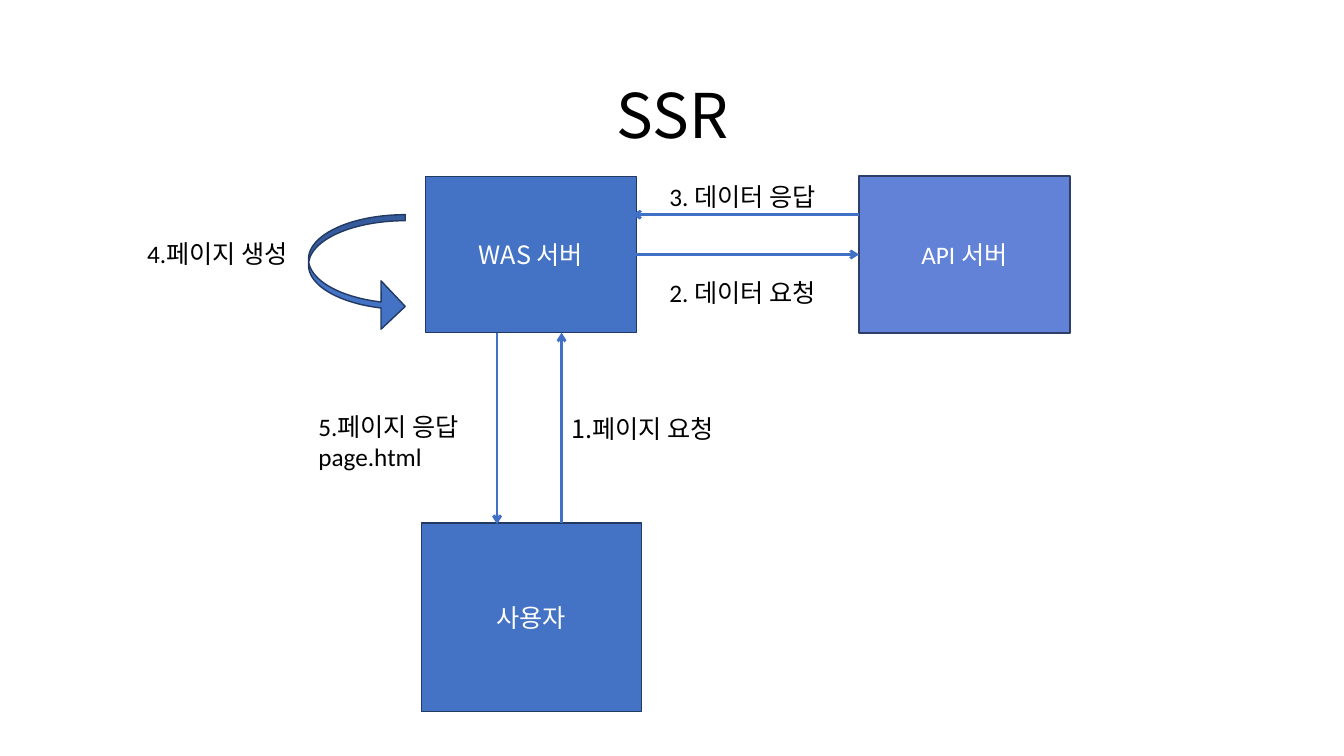
"""Build the SSR request flow slide."""
from pptx import Presentation
from pptx.dml.color import RGBColor
from pptx.enum.shapes import MSO_CONNECTOR, MSO_SHAPE
from pptx.enum.text import MSO_ANCHOR, MSO_AUTO_SIZE, PP_ALIGN
from pptx.oxml.ns import qn
from pptx.util import Inches, Pt
from lxml.etree import SubElement

KOREAN, LATIN = "Noto Sans CJK KR", "Calibri"
BLUE = RGBColor(0x44, 0x72, 0xC4)
PERIWINKLE = RGBColor(0x61, 0x82, 0xD6)
NAVY = RGBColor(0x22, 0x39, 0x61)
SLATE = RGBColor(0x2E, 0x3E, 0x67)
ARROW_BLUE = RGBColor(0x41, 0x71, 0xC7)
BLACK = RGBColor(0, 0, 0)
WHITE = RGBColor(0xFF, 0xFF, 0xFF)

TITLE = "SSR"
SERVERS = {
    "WAS 서버": ((4.22, 1.75, 2.09, 1.55), BLUE, NAVY, 1, KOREAN),
    "API 서버": ((8.52, 1.75, 2.09, 1.55), PERIWINKLE, SLATE, 1.5, LATIN),
    "사용자": ((4.18, 5.19, 2.18, 1.87), BLUE, NAVY, 1, KOREAN),
}
STEPS = [
    (["1.페이지 요청"], (5.57, 4.05, 1.71, 0.4), KOREAN),
    (["2. 데이터 요청"], (6.54, 2.7, 1.76, 0.4), LATIN),
    (["3. 데이터 응답"], (6.54, 1.75, 1.76, 0.4), LATIN),
    (["4.페이지 생성"], (1.36, 2.32, 1.71, 0.4), LATIN),
    (["5.페이지 응답", "page.html"], (3.06, 4.03, 1.7, 0.7), LATIN),
]
PAGE_REQUEST = (5.57, 5.19, 5.57, 3.3)
DATA_REQUEST = (6.31, 2.52, 8.52, 2.52)
DATA_RESPONSE = (8.52, 2.13, 6.27, 2.13)
PAGE_RESPONSE = (4.93, 3.3, 4.93, 5.2)
PAGE_BUILD = (3.06, 2.13, 0.96, 1.15)
PAGE_BUILD_BEND = (0.062, 0.5, 0.25)


def inches(lengths):
    return [Inches(length) for length in lengths]


def write(paragraph, text, font_name, color, size=18):
    run = paragraph.add_run()
    run.text = text
    run.font.name = font_name
    run.font.size = Pt(size)
    run.font.color.rgb = color
    SubElement(run.font._element, qn("a:ea")).set("typeface", KOREAN)


def add_block(slide, preset, box, fill, outline, width):
    block = slide.shapes.add_shape(preset, *inches(box))
    block.shadow.inherit = False
    block.fill.solid()
    block.fill.fore_color.rgb = fill
    block.line.color.rgb = outline
    block.line.width = Pt(width)
    return block


def add_arrow(slide, ends):
    arrow = slide.shapes.add_connector(MSO_CONNECTOR.STRAIGHT, *inches(ends))
    arrow.line.color.rgb = ARROW_BLUE
    arrow.line.width = Pt(2)
    SubElement(arrow.line._get_or_add_ln(), qn("a:tailEnd")).set("type", "arrow")
    SubElement(arrow._element.spPr, qn("a:effectLst"))
    return arrow


def add_title(slide):
    title = slide.shapes.title
    title.left, title.top, title.width, title.height = inches((0.92, 0.4, 11.5, 1.45))
    title.text_frame.vertical_anchor = MSO_ANCHOR.MIDDLE
    heading = title.text_frame.paragraphs[0]
    heading.alignment = PP_ALIGN.CENTER
    write(heading, TITLE, KOREAN, BLACK, 44)


def add_server(slide, name, box, fill, outline, width, font_name):
    server = add_block(slide, MSO_SHAPE.RECTANGLE, box, fill, outline, width)
    server.text_frame.vertical_anchor = MSO_ANCHOR.MIDDLE
    label = server.text_frame.paragraphs[0]
    label.alignment = PP_ALIGN.CENTER
    write(label, name, font_name, WHITE)
    return server


def add_step(slide, lines, box, font_name):
    frame = slide.shapes.add_textbox(*inches(box)).text_frame
    frame.word_wrap = False
    frame.auto_size = MSO_AUTO_SIZE.SHAPE_TO_FIT_TEXT
    for index, line in enumerate(lines):
        paragraph = frame.add_paragraph() if index else frame.paragraphs[0]
        write(paragraph, line, font_name, BLACK)


def main():
    deck = Presentation()
    deck.slide_width, deck.slide_height = inches((13.33, 7.5))
    slide = deck.slides.add_slide(deck.slide_layouts[5])
    add_title(slide)
    servers = {name: add_server(slide, name, *look) for name, look in SERVERS.items()}

    for ends in (PAGE_REQUEST, DATA_RESPONSE, PAGE_RESPONSE):
        add_arrow(slide, ends)
    data_request = add_arrow(slide, DATA_REQUEST)
    data_request.begin_connect(servers["WAS 서버"], 3)
    data_request.end_connect(servers["API 서버"], 1)

    page_build = add_block(slide, MSO_SHAPE.CURVED_RIGHT_ARROW, PAGE_BUILD, BLUE, NAVY, 1)
    for index, bend in enumerate(PAGE_BUILD_BEND):
        page_build.adjustments[index] = bend

    for step in STEPS:
        add_step(slide, *step)
    deck.save("out.pptx")


if __name__ == "__main__":
    main()
